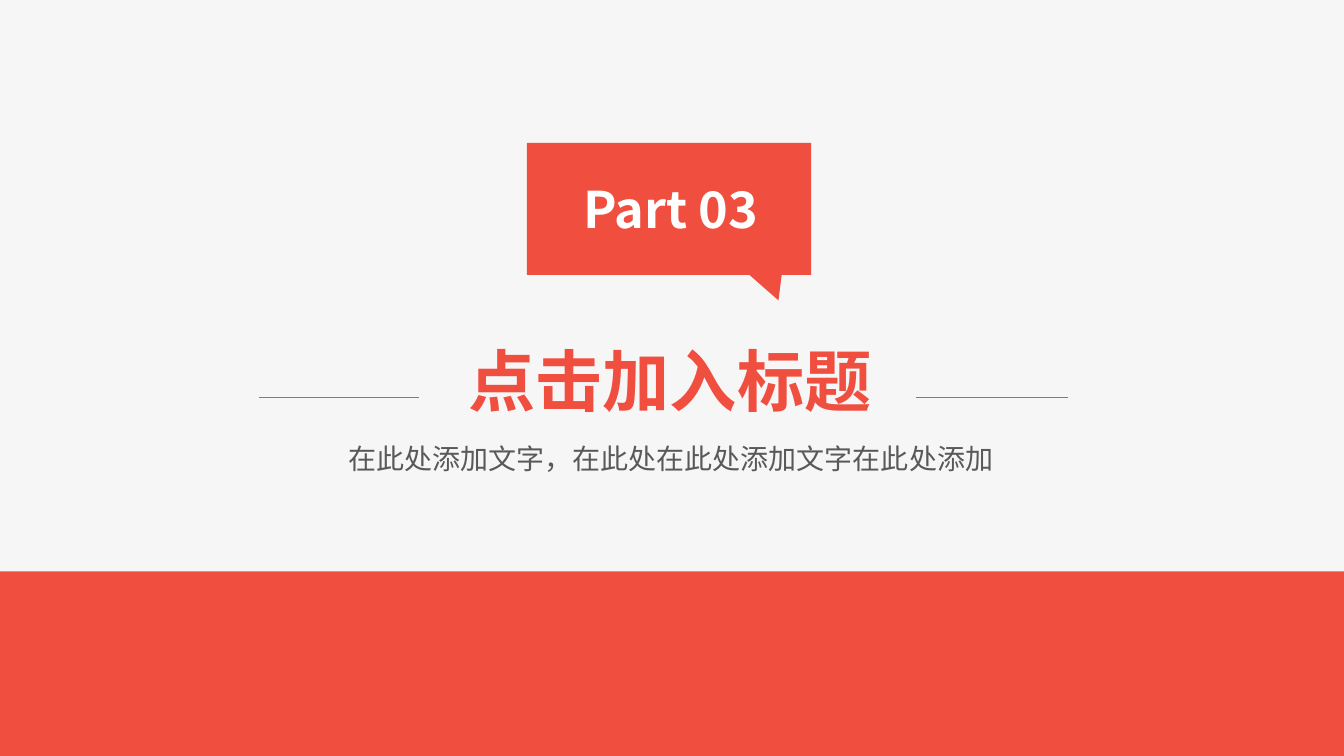
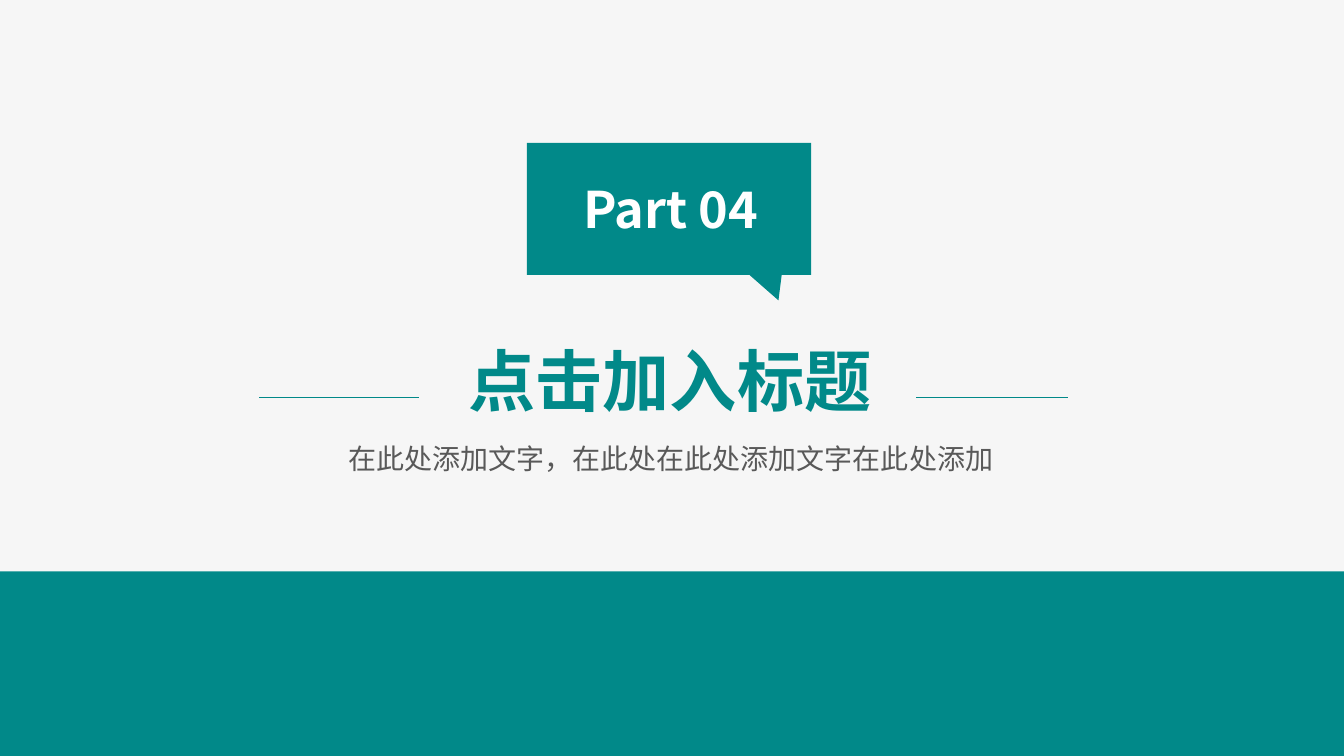
from dataclasses import dataclass

from lxml.etree import SubElement
from pptx import Presentation
from pptx.dml.color import RGBColor as RGB
from pptx.enum.shapes import MSO_CONNECTOR as Connector, MSO_SHAPE as Shape
from pptx.enum.text import PP_ALIGN as Align
from pptx.oxml.ns import qn
from pptx.util import Cm, Pt


@dataclass(frozen=True)
class Theme:
    font: str = "Noto Sans CJK SC"
    background: RGB = RGB(0xF6, 0xF6, 0xF6)
    caption: RGB = RGB(0x59, 0x59, 0x59)
    white: RGB = RGB(0xFF, 0xFF, 0xFF)
    red: RGB = RGB(0xF0, 0x4E, 0x3F)
    teal: RGB = RGB(0x01, 0x89, 0x89)
    title_size: int = 48
    part_size: int = 36
    caption_size: int = 20
    rule_width: float = 0.75


THEME = Theme()
SLIDE_W, SLIDE_H = 33.87, 19.05
BAND_TOP = 14.4

SECTIONS = [
    ("Part 03", THEME.red),
    ("Part 04", THEME.teal),
]
TITLE = "点击加入标题"
CAPTION = "在此处添加文字，在此处在此处添加文字在此处添加"


def add_text(slide, text, box, *, size, color, bold=False, inset=(0.25, 0.13)):
    """Centred single-line text in a box of (left, top, width, height) in cm."""
    frame = slide.shapes.add_textbox(*map(Cm, box)).text_frame
    frame.word_wrap = True
    frame.margin_left = frame.margin_right = Cm(inset[0])
    frame.margin_top = frame.margin_bottom = Cm(inset[1])
    paragraph = frame.paragraphs[0]
    paragraph.alignment = Align.CENTER
    run = paragraph.add_run()
    run.text = text
    font = run.font
    font.size, font.bold, font.name = Pt(size), bold, THEME.font
    font.color.rgb = color
    # East Asian characters take their own typeface
    SubElement(run.font._element, qn("a:ea")).set("typeface", THEME.font)


def paint(shape, color):
    shape.shadow.inherit = False
    shape.fill.solid()
    shape.fill.fore_color.rgb = color
    shape.line.fill.background()


def add_rule(slide, start, end, y, color):
    rule = slide.shapes.add_connector(
        Connector.STRAIGHT, Cm(start), Cm(y), Cm(end), Cm(y))
    rule.line.color.rgb = color
    rule.line.width = Pt(THEME.rule_width)
    SubElement(rule._element.spPr, qn("a:effectLst"))


def heading(slide, left, top, width, color):
    """Title between two rules, with the caption below."""
    add_text(slide, TITLE, (left + 6.14, top, 14.27, 2.31),
             size=THEME.title_size, color=color, bold=True)
    add_text(slide, CAPTION, (left, top + 2.59, width, 1.12),
             size=THEME.caption_size, color=THEME.caption)
    for start, end in ((2.92, 6.96), (19.48, 23.31)):
        add_rule(slide, left + start, left + end, top + 1.6, color)


def part_bubble(slide, left, top, width, height, label, color):
    """Speech bubble whose tail hangs below its right end."""
    right, bottom = left + width, top + height
    outline = [
        (right, top), (right, bottom),
        (right - 0.74, bottom), (right - 0.82, bottom + 0.64),
        (right - 1.55, bottom),  # tail
        (left, bottom),
    ]
    builder = slide.shapes.build_freeform(Cm(left), Cm(top))
    builder.add_line_segments([(Cm(x), Cm(y)) for x, y in outline], close=True)
    paint(builder.convert_to_shape(), color)
    add_text(slide, label, (left - 2.38, top + 0.78, width + 4.85, 1.73),
             size=THEME.part_size, color=THEME.white, bold=True,
             inset=(0.18, 0.1))


def bottom_band(slide, top, color):
    band = slide.shapes.add_shape(
        Shape.RECTANGLE, 0, Cm(top), Cm(SLIDE_W), Cm(SLIDE_H - top))
    paint(band, color)


def section_slide(deck, label, color):
    slide = deck.slides.add_slide(deck.slide_layouts[6])
    slide.background.fill.solid()
    slide.background.fill.fore_color.rgb = THEME.background
    heading(slide, 3.61, 8.41, 26.59, color)
    part_bubble(slide, 13.28, 3.6, 7.16, 3.33, label, color)
    bottom_band(slide, BAND_TOP, color)


def main():
    deck = Presentation()
    deck.slide_width, deck.slide_height = Cm(SLIDE_W), Cm(SLIDE_H)
    for label, color in SECTIONS:
        section_slide(deck, label, color)
    deck.save("out.pptx")


if __name__ == "__main__":
    main()
